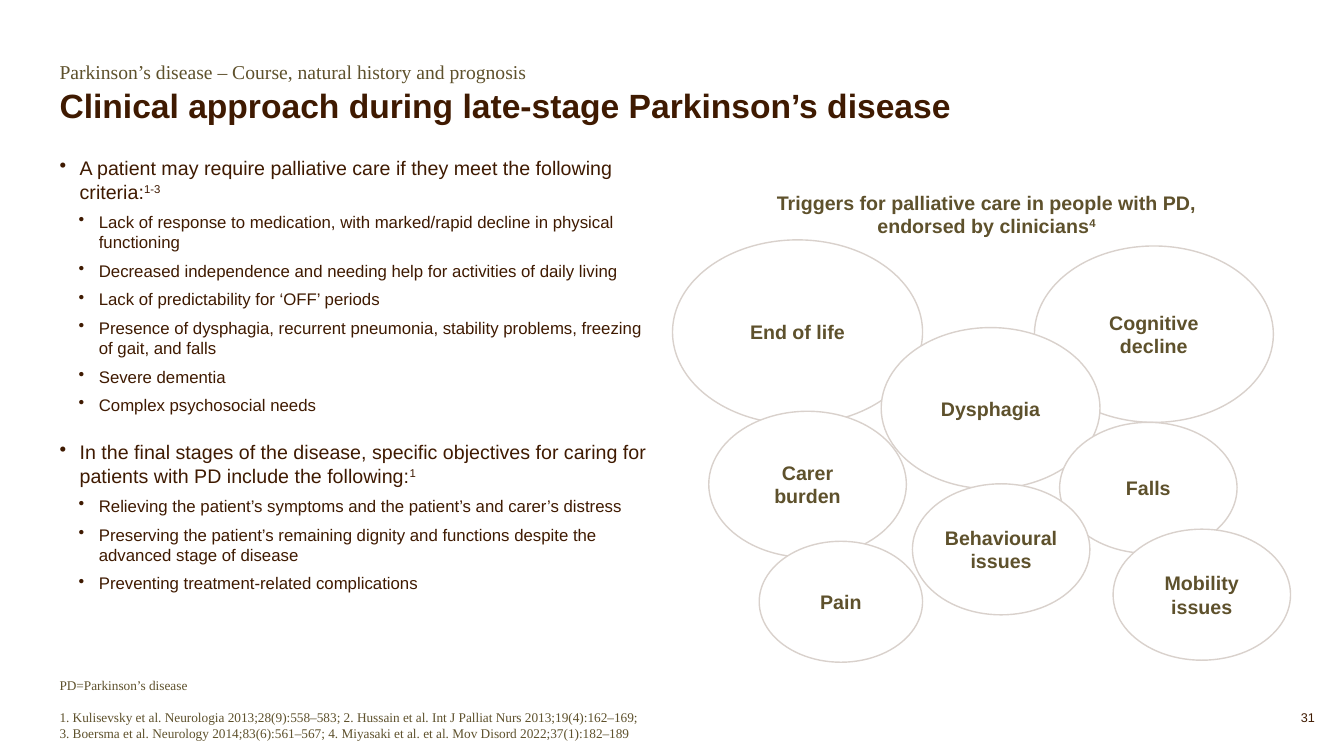
"""Build the slide on the clinical approach during late-stage Parkinson's disease."""

from dataclasses import dataclass

import lxml.etree
import pptx
import pptx.dml.color
import pptx.enum.shapes
import pptx.enum.text
import pptx.oxml.ns
import pptx.slide
import pptx.text.text
import pptx.util

EMU_PER_PX = 9144
BROWN = pptx.dml.color.RGBColor(0x3F, 0x1A, 0x01)
OLIVE = pptx.dml.color.RGBColor(0x5E, 0x51, 0x2C)
OUTLINE = pptx.dml.color.RGBColor(0xD9, 0xD1, 0xCC)
WHITE = pptx.dml.color.RGBColor(0xFF, 0xFF, 0xFF)
LEFT = pptx.enum.text.PP_ALIGN.LEFT
RIGHT = pptx.enum.text.PP_ALIGN.RIGHT
CENTER = pptx.enum.text.PP_ALIGN.CENTER
TOP = pptx.enum.text.MSO_ANCHOR.TOP
MIDDLE = pptx.enum.text.MSO_ANCHOR.MIDDLE
BOTTOM = pptx.enum.text.MSO_ANCHOR.BOTTOM


@dataclass(frozen=True)
class Style:
    size: float
    color: pptx.dml.color.RGBColor
    font: str = "Arial"
    bold: bool = False
    align: pptx.enum.text.PP_ALIGN = LEFT
    line_spacing: float = 1.0


@dataclass(frozen=True)
class Line:
    text: str
    note: str = ""
    level: int | None = None
    space_before: float = 0


@dataclass(frozen=True)
class Block:
    left: int
    top: int
    width: int
    height: int
    style: Style
    lines: tuple[Line, ...]
    anchor: pptx.enum.text.MSO_ANCHOR = TOP


@dataclass(frozen=True)
class Trigger:
    text: str
    left: int
    top: int
    width: int
    height: int


KICKER = Style(14, OLIVE, "Times New Roman")
TITLE = Style(24, BROWN, bold=True, line_spacing=0.9)
MAIN_BULLET = Style(14, BROWN)
SUB_BULLET = Style(12, BROWN)
FOOTNOTE = Style(9.5, OLIVE, "Times New Roman")
PAGE_NUMBER = Style(9, BROWN, align=RIGHT)
LABEL = Style(14, OLIVE, bold=True, align=CENTER)

SECTIONS = (
    ("A patient may require palliative care if they meet the following criteria:", "1-3", (
        "Lack of response to medication, with marked/rapid decline in physical functioning",
        "Decreased independence and needing help for activities of daily living",
        "Lack of predictability for ‘OFF’ periods",
        "Presence of dysphagia, recurrent pneumonia, stability problems, freezing of gait, and falls",
        "Severe dementia",
        "Complex psychosocial needs",
    )),
    ("In the final stages of the disease, specific objectives for caring for patients with PD "
     "include the following:", "1", (
        "Relieving the patient’s symptoms and the patient’s and carer’s distress",
        "Preserving the patient’s remaining dignity and functions despite the advanced stage of disease",
        "Preventing treatment-related complications",
    )),
)
BULLETS = tuple(
    line
    for index, (heading, note, points) in enumerate(SECTIONS)
    for line in (Line(heading, note, 0, 18 if index else 0),
                 *(Line(point, "", 1, 6) for point in points))
)
REFERENCES = (
    Line("PD=Parkinson’s disease"),
    Line("1. Kulisevsky et al. Neurologia 2013;28(9):558–583; "
         "2. Hussain et al. Int J Palliat Nurs 2013;19(4):162–169;\v"
         "3. Boersma et al. Neurology 2014;83(6):561–567; "
         "4. Miyasaki et al. et al. Mov Disord 2022;37(1):182–189", space_before=11),
)
BLOCKS = (
    Block(59, 59, 1008, 29, KICKER,
          (Line("Parkinson’s disease – Course, natural history and prognosis"),)),
    Block(59, 89, 1008, 36, TITLE,
          (Line("Clinical approach during late-stage Parkinson’s disease"),), BOTTOM),
    Block(59, 155, 592, 483, MAIN_BULLET, BULLETS),
    Block(59, 667, 1008, 68, FOOTNOTE, REFERENCES, BOTTOM),
    Block(1239, 704, 65, 17, PAGE_NUMBER, (Line("31"),)),
    Block(740, 189, 477, 47, LABEL,
          (Line("Triggers for palliative care in people with PD, endorsed by clinicians", "4"),)),
)
TRIGGERS = (
    Trigger("End of life", 667, 238, 248, 183),
    Trigger("Cognitive decline", 1026, 244, 237, 175),
    Trigger("Dysphagia", 874, 325, 217, 160),
    Trigger("Carer burden", 703, 408, 196, 145),
    Trigger("Falls", 1051, 419, 176, 130),
    Trigger("Behavioural\vissues", 905, 480, 176, 130),
    Trigger("Mobility\vissues", 1104, 525, 176, 130),
    Trigger("Pain", 753, 537, 162, 120),
)


def px(length: int) -> pptx.util.Emu:
    """Turn px into EMU."""
    return pptx.util.Emu(length * EMU_PER_PX)


def add_bullet(para: pptx.text.text._Paragraph, level: int) -> None:
    """Give a paragraph a hanging bullet."""
    para.level = level
    properties = para._p.get_or_add_pPr()
    properties.set("marL", str(px(20 + 19 * level)))
    properties.set("indent", str(px(-20)))
    lxml.etree.SubElement(properties, pptx.oxml.ns.qn("a:buChar"), char="•")


def write_line(para: pptx.text.text._Paragraph, line: Line, style: Style) -> None:
    """Write one line with its raised note number."""
    para.text = line.text
    if line.level is not None:
        add_bullet(para, line.level)
    if line.note:
        note = para.add_run()
        note.text = line.note
        note.font._element.set("baseline", "30000")
    para.alignment = style.align
    para.line_spacing = style.line_spacing
    para.space_before = pptx.util.Pt(line.space_before)
    for span in para.runs:
        span.font.name = style.font
        span.font.size = pptx.util.Pt(style.size)
        span.font.bold = style.bold
        span.font.color.rgb = style.color


def draw_block(page: pptx.slide.Slide, block: Block) -> None:
    """Draw a text box without insets."""
    box = page.shapes.add_textbox(px(block.left), px(block.top), px(block.width), px(block.height))
    frame = box.text_frame
    frame.word_wrap = True
    frame.vertical_anchor = block.anchor
    frame.margin_left = frame.margin_right = frame.margin_top = frame.margin_bottom = 0
    frame.text = "\n".join(line.text for line in block.lines)
    for para, line in zip(frame.paragraphs, block.lines):
        write_line(para, line, SUB_BULLET if line.level == 1 else block.style)


def draw_trigger(page: pptx.slide.Slide, trigger: Trigger) -> None:
    """Draw an outlined ellipse with its label."""
    oval = page.shapes.add_shape(
        pptx.enum.shapes.MSO_SHAPE.OVAL,
        px(trigger.left), px(trigger.top), px(trigger.width), px(trigger.height))
    oval.shadow.inherit = False
    oval.fill.solid()
    oval.fill.fore_color.rgb = WHITE
    oval.line.color.rgb = OUTLINE
    oval.line.width = pptx.util.Pt(1)
    oval.text_frame.word_wrap = "\v" not in trigger.text
    oval.text_frame.vertical_anchor = MIDDLE
    write_line(oval.text_frame.paragraphs[0], Line(trigger.text), LABEL)


def main() -> None:
    """Build and save the deck."""
    deck = pptx.Presentation()
    deck.slide_width, deck.slide_height = px(1333), px(750)
    page = deck.slides.add_slide(deck.slide_layouts[6])
    for block in BLOCKS:
        draw_block(page, block)
    for trigger in TRIGGERS:
        draw_trigger(page, trigger)
    deck.save("out.pptx")


if __name__ == "__main__":
    main()
